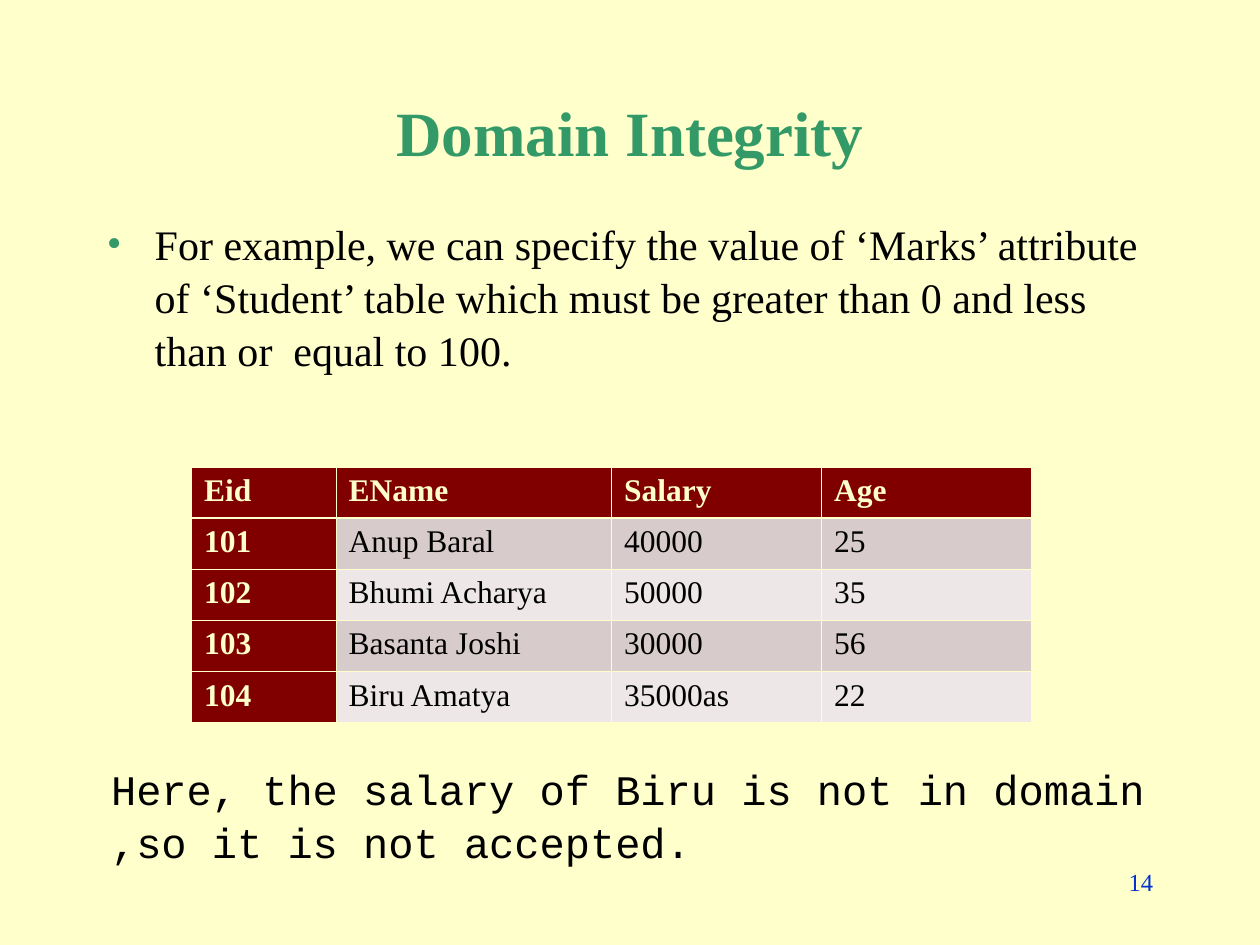
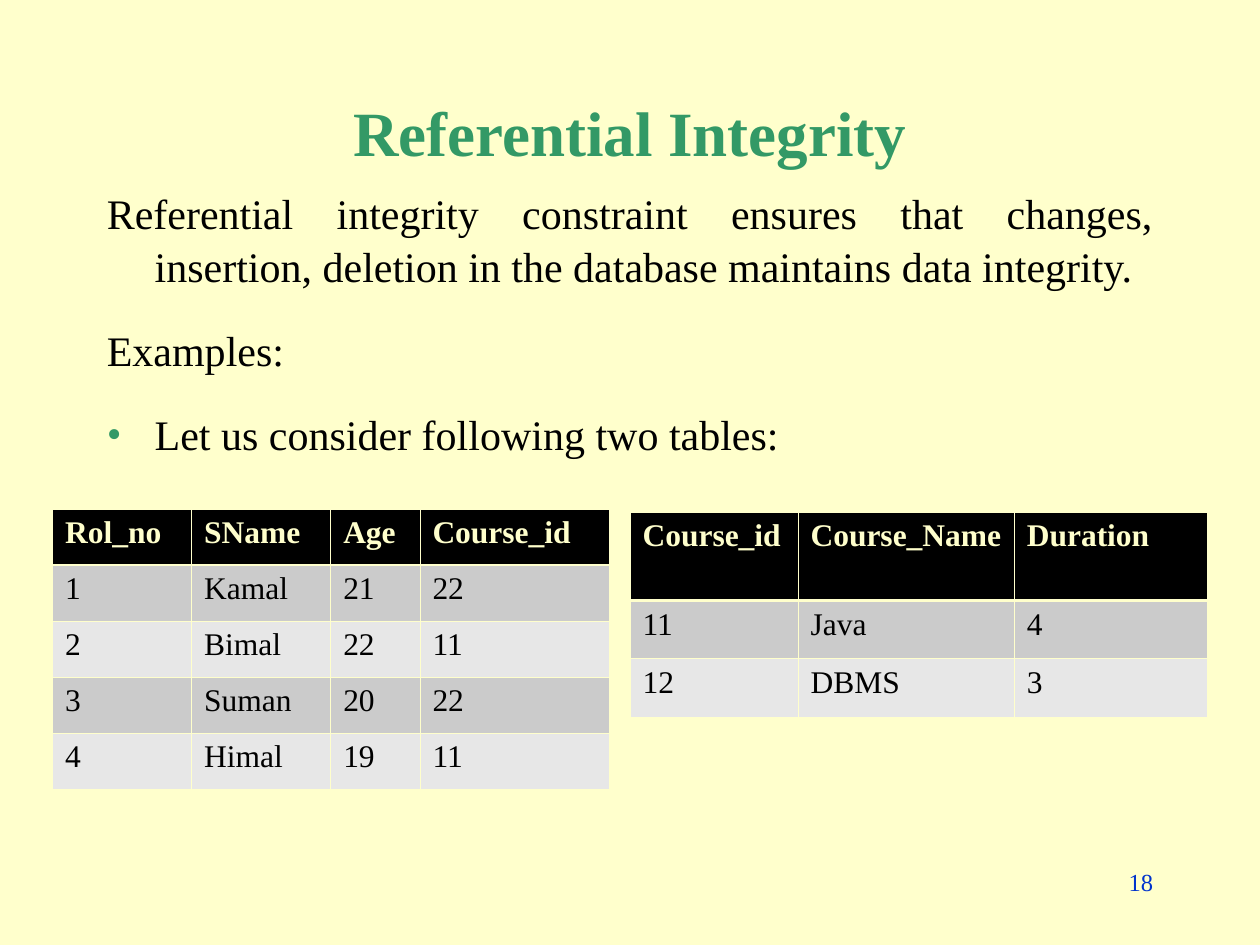
import pptx
import pptx.dml.color
import pptx.enum.text
import pptx.oxml
import pptx.oxml.ns
import pptx.util

ALIGN = pptx.enum.text.PP_ALIGN
ANCHOR = pptx.enum.text.MSO_ANCHOR

SERIF = "Times New Roman"
MONOSPACE = "Courier New"
CREAM = "FFFFCC"
GREEN = "339966"
BLUE = "0033CC"
BLACK = "000000"
MAROON = "800000"
MAROON_BANDS = ("D8CBCB", "EDE7E7")
GRAY_BANDS = ("CBCBCB", "E7E7E7")

SLIDE_WIDTH = pptx.util.Inches(10)
SLIDE_HEIGHT = pptx.util.Inches(7.5)
GRID_COLUMNS = 120
MARGIN = 9
CONTENT_WIDTH = GRID_COLUMNS - 2 * MARGIN
LINE_SPACING = 1.05
THIN_BORDER = 0.45
HEADER_BORDER = 1.47


def grid(cells):
    """Length of a number of square grid cells, 120 across the slide and 90 down."""
    return round(SLIDE_WIDTH * cells / GRID_COLUMNS)


def color(hex_string):
    return pptx.dml.color.RGBColor.from_string(hex_string)


def add_run(paragraph, text, size, hex_color=BLACK, bold=False, font=SERIF):
    run = paragraph.add_run()
    run.text = text
    run.font.name = font
    run.font.size = pptx.util.Pt(size)
    run.font.bold = bold
    run.font.color.rgb = color(hex_color)


def add_text_frame(slide, left, top, width, height, anchor=ANCHOR.TOP):
    box = slide.shapes.add_textbox(grid(left), grid(top), grid(width), grid(height))
    frame = box.text_frame
    frame.word_wrap = True
    frame.vertical_anchor = anchor
    return frame


def next_paragraph(frame):
    """The first paragraph while it is empty, otherwise a new one."""
    first = frame.paragraphs[0]
    return frame.add_paragraph() if first.runs else first


def set_hanging_indent(paragraph, bulleted):
    properties = paragraph._p.get_or_add_pPr()
    indent = pptx.util.Inches(0.38)
    properties.set("marL", str(indent))
    properties.set("indent", str(-indent))
    if bulleted:
        namespace = pptx.oxml.ns.nsdecls("a")
        for markup in (
            f'<a:buClr {namespace}><a:srgbClr val="{GREEN}"/></a:buClr>',
            f'<a:buFont {namespace} typeface="{SERIF}"/>',
            f'<a:buChar {namespace} char="•"/>',
        ):
            properties.append(pptx.oxml.parse_xml(markup))


def add_body(slide, top, height, items):
    """Items are pairs of a text and whether it has a bullet."""
    frame = add_text_frame(slide, MARGIN, top, CONTENT_WIDTH, height)
    for text, bulleted in items:
        paragraph = next_paragraph(frame)
        paragraph.alignment = ALIGN.LEFT if bulleted else ALIGN.JUSTIFY
        paragraph.line_spacing = LINE_SPACING
        paragraph.space_before = pptx.util.Pt(18)
        set_hanging_indent(paragraph, bulleted)
        add_run(paragraph, text, 24)


def add_remark(slide, left, top, width, height, lines):
    frame = add_text_frame(slide, left, top, width, height)
    frame.word_wrap = False
    for line in lines:
        paragraph = next_paragraph(frame)
        paragraph.line_spacing = LINE_SPACING
        add_run(paragraph, line, 24, font=MONOSPACE)


def set_borders(cell, top, bottom):
    properties = cell._tc.get_or_add_tcPr()
    widths = {"lnL": THIN_BORDER, "lnR": THIN_BORDER, "lnT": top, "lnB": bottom}
    for position, (side, width) in enumerate(widths.items()):
        line = pptx.oxml.parse_xml(
            f'<a:{side} {pptx.oxml.ns.nsdecls("a")} w="{pptx.util.Pt(width)}">'
            f'<a:solidFill><a:srgbClr val="{CREAM}"/></a:solidFill></a:{side}>'
        )
        properties.insert(position, line)


def add_data_table(slide, left, top, widths, heights, rows, header_fill, bands,
                   header_column=False):
    table = slide.shapes.add_table(
        len(rows), len(widths), grid(left), grid(top),
        grid(sum(widths)), grid(sum(heights)),
    ).table
    table.first_row = table.horz_banding = False
    for column, width in zip(table.columns, widths):
        column.width = grid(width)
    for row_index, (values, height) in enumerate(zip(rows, heights)):
        table.rows[row_index].height = grid(height)
        for column_index, value in enumerate(values):
            is_header = row_index == 0 or (header_column and column_index == 0)
            cell = table.cell(row_index, column_index)
            cell.fill.solid()
            cell.fill.fore_color.rgb = color(
                header_fill if is_header else bands[(row_index - 1) % 2])
            set_borders(
                cell,
                top=HEADER_BORDER if row_index == 1 else THIN_BORDER,
                bottom=HEADER_BORDER if row_index == 0 else THIN_BORDER,
            )
            add_run(cell.text_frame.paragraphs[0], value, 18,
                    CREAM if is_header else BLACK, bold=is_header)


def add_titled_slide(presentation, title, number):
    slide = presentation.slides.add_slide(presentation.slide_layouts[6])
    heading = add_text_frame(slide, MARGIN, 8, CONTENT_WIDTH, 9, ANCHOR.MIDDLE).paragraphs[0]
    heading.alignment = ALIGN.CENTER
    add_run(heading, title, 36, GREEN, bold=True)
    footer = add_text_frame(slide, 86, 82, 25, 6).paragraphs[0]
    footer.alignment = ALIGN.RIGHT
    add_run(footer, number, 14, BLUE)
    return slide


def add_domain_slide(presentation):
    slide = add_titled_slide(presentation, "Domain Integrity", "14")
    add_body(slide, 20, 60, [
        ("For example, we can specify the value of ‘Marks’ attribute of ‘Student’ table "
         "which must be greater than 0 and less than or  equal to 100.", True),
    ])
    employees = [
        ("Eid", "EName", "Salary", "Age"),
        ("101", "Anup Baral", "40000", "25"),
        ("102", "Bhumi Acharya", "50000", "35"),
        ("103", "Basanta Joshi", "30000", "56"),
        ("104", "Biru Amatya", "35000as", "22"),
    ]
    add_data_table(slide, 18.25, 44.5, (13.75, 26.25, 20, 20), [4.87] * len(employees),
                   employees, MAROON, MAROON_BANDS, header_column=True)
    add_remark(slide, 9.4, 71.9, 100.8, 10.8, [
        "Here, the salary of Biru is not in domain",
        ",so it is not accepted.",
    ])


def add_referential_slide(presentation):
    slide = add_titled_slide(presentation, "Referential Integrity", "18")
    add_body(slide, 17, 63, [
        ("Referential integrity constraint ensures that changes, insertion, deletion "
         "in the database maintains data integrity.", False),
        ("Examples:", False),
        ("Let us consider following two tables:", True),
    ])
    students = [
        ("Rol_no", "SName", "Age", "Course_id"),
        ("1", "Kamal", "21", "22"),
        ("2", "Bimal", "22", "11"),
        ("3", "Suman", "20", "22"),
        ("4", "Himal", "19", "11"),
    ]
    courses = [
        ("Course_id", "Course_Name", "Duration"),
        ("11", "Java", "4"),
        ("12", "DBMS", "3"),
    ]
    add_data_table(slide, 5, 48.5, (13.25, 13.25, 8.5, 18), [5.33] * len(students),
                   students, BLACK, GRAY_BANDS)
    add_data_table(slide, 60, 48.8, (16, 20.6, 18.4), (8.4, 5.55, 5.55),
                   courses, BLACK, GRAY_BANDS)


def main():
    presentation = pptx.Presentation()
    presentation.slide_width = SLIDE_WIDTH
    presentation.slide_height = SLIDE_HEIGHT
    background = presentation.slide_master.background.fill
    background.solid()
    background.fore_color.rgb = color(CREAM)
    add_domain_slide(presentation)
    add_referential_slide(presentation)
    presentation.save("out.pptx")


if __name__ == "__main__":
    main()
